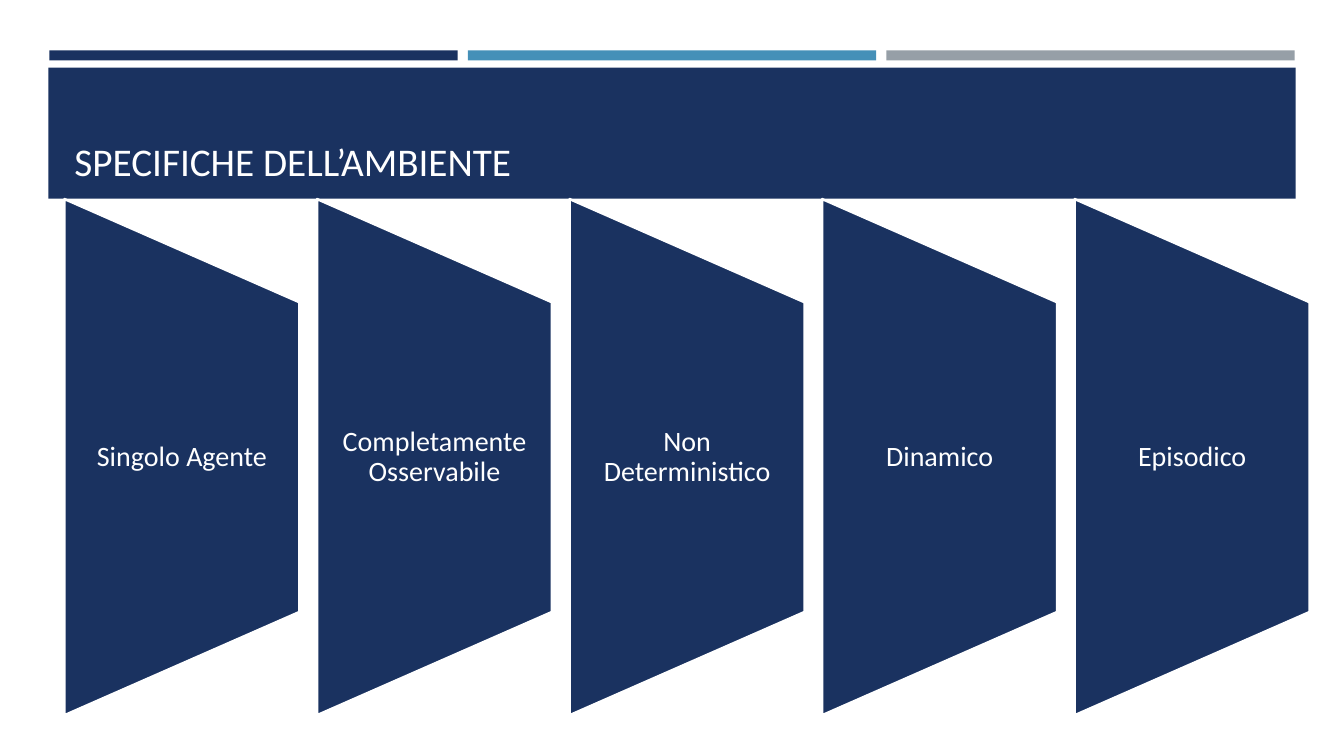
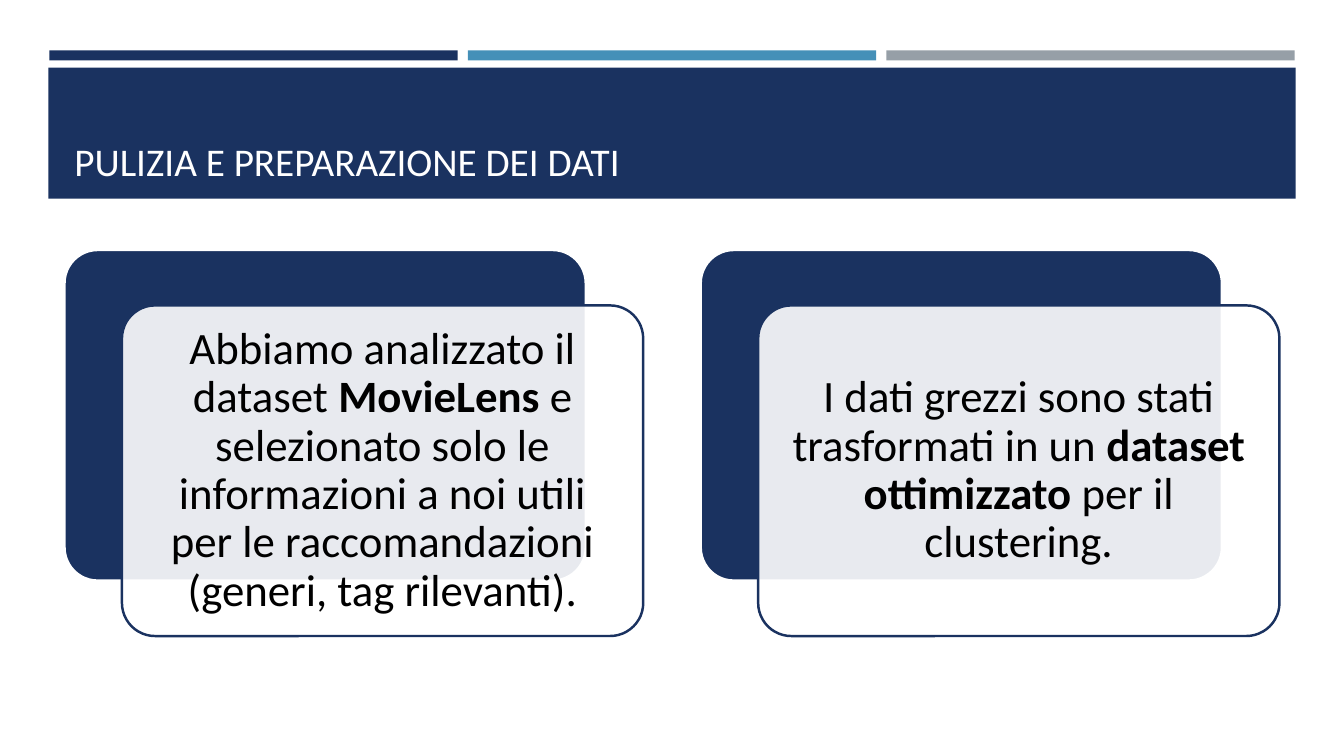
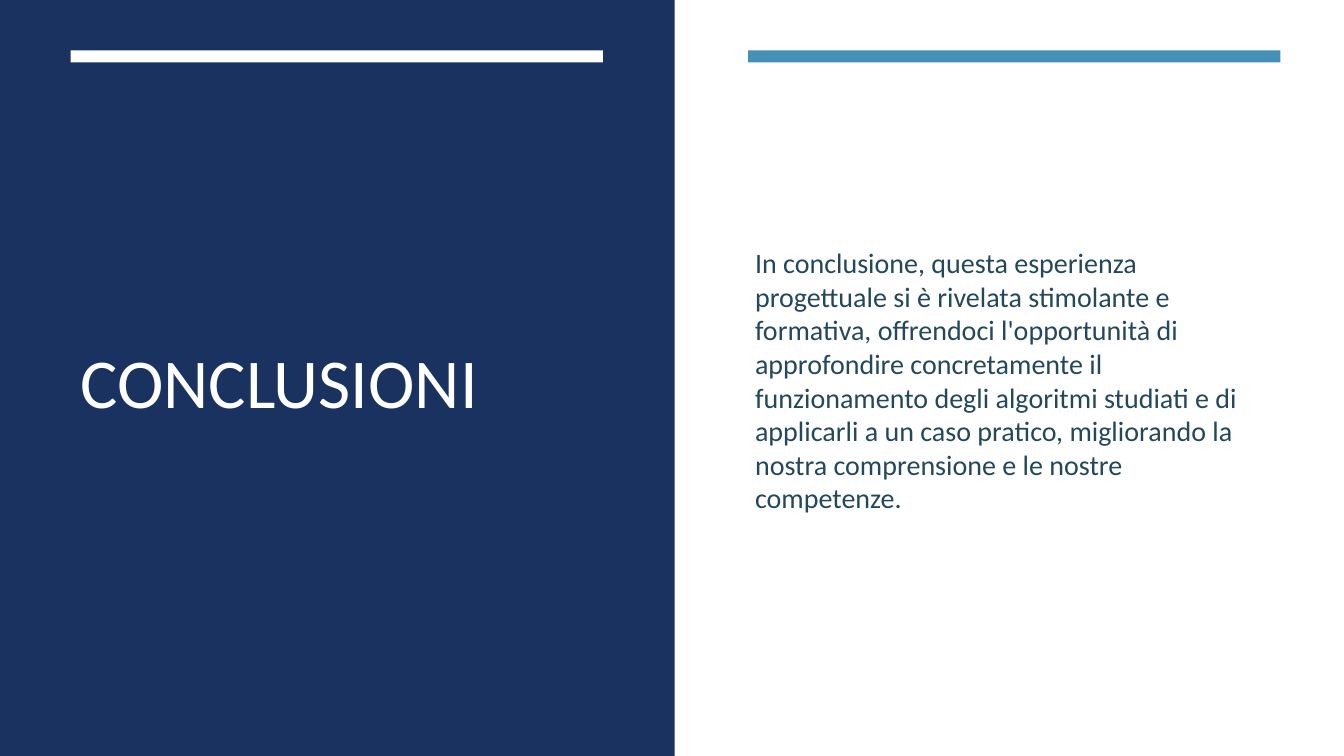
from dataclasses import dataclass

import pptx
import pptx.dml.color
import pptx.enum.shapes
import pptx.enum.text
import pptx.oxml.ns
import pptx.util
from lxml import etree
from pptx.util import Inches

COLORS = {
    "navy": "1A3260",
    "blue": "4590B8",
    "gray": "969FA7",
    "white": "FFFFFF",
    "black": "000000",
    "body": "23485C",
}
FONT = "Calibri"
SHAPE = pptx.enum.shapes.MSO_SHAPE
ANCHOR = pptx.enum.text.MSO_ANCHOR
ALIGN = pptx.enum.text.PP_ALIGN


@dataclass
class Box:
    left: float
    top: float
    width: float
    height: float

    def lengths(self) -> tuple:
        return tuple(Inches(v) for v in (self.left, self.top, self.width, self.height))


@dataclass
class Span:
    text: str
    bold: bool = False


@dataclass
class TextStyle:
    size: float
    color: str
    anchor: object = ANCHOR.MIDDLE
    align: object = ALIGN.LEFT
    line_spacing: float = 1.0
    inset_x: float = 0.1
    inset_y: float = 0.05


TITLE = TextStyle(28, "white", ANCHOR.BOTTOM)
BIG_TITLE = TextStyle(50, "white")
BODY = TextStyle(20, "body")
PANEL_TEXT = TextStyle(20, "white", align=ALIGN.CENTER, line_spacing=0.9,
                       inset_x=0.14, inset_y=0)
CARD_TEXT = TextStyle(32, "black", align=ALIGN.CENTER, line_spacing=0.9,
                      inset_x=0.13, inset_y=0.13)


def rgb(name: str):
    return pptx.dml.color.RGBColor.from_string(COLORS[name])


def add_shape(s, kind, box: Box, fill: str, line: str = ""):
    sp = s.shapes.add_shape(kind, *box.lengths())
    sp.shadow.inherit = False
    sp.fill.solid()
    sp.fill.fore_color.rgb = rgb(fill)
    if line:
        sp.line.color.rgb = rgb(line)
        sp.line.width = pptx.util.Pt(1.75)
    else:
        sp.line.fill.background()
    return sp


def set_opacity(sp, percent: int) -> None:
    qn = pptx.oxml.ns.qn
    color = sp.fill._xPr.find(qn("a:solidFill")).find(qn("a:srgbClr"))
    etree.SubElement(color, qn("a:alpha")).set("val", str(percent * 1000))


def write(sp, spans: list[Span], style: TextStyle) -> None:
    tf = sp.text_frame
    tf.word_wrap = True
    tf.vertical_anchor = style.anchor
    tf.margin_left = tf.margin_right = Inches(style.inset_x)
    tf.margin_top = tf.margin_bottom = Inches(style.inset_y)
    p = tf.paragraphs[0]
    p.alignment = style.align
    p.line_spacing = style.line_spacing
    p.font.name = FONT
    p.font.size = pptx.util.Pt(style.size)
    p.font.color.rgb = rgb(style.color)
    for span in spans:
        r = p.add_run()
        r.text = span.text
        if span.bold:
            r.font.bold = True


def add_text(s, box: Box, text: str, style: TextStyle) -> None:
    write(s.shapes.add_textbox(*box.lengths()), [Span(text)], style)


def add_slide(prs):
    return prs.slides.add_slide(prs.slide_layouts[6])


def add_banner_slide(prs, title: str):
    """Add a slide with three thin bars above a navy title band."""
    s = add_slide(prs)
    for i, color in enumerate(("navy", "blue", "gray")):
        add_shape(s, SHAPE.RECTANGLE, Box(0.49 + i * 4.15, 0.5, 4.05, 0.1), color)
    add_shape(s, SHAPE.RECTANGLE, Box(0.48, 0.67, 12.37, 1.3), "navy")
    add_text(s, Box(0.64, 0.77, 12.06, 1.11), title, TITLE)
    return s


def environment_slide(prs) -> None:
    s = add_banner_slide(prs, "SPECIFICHE DELL’AMBIENTE")
    labels = ("Singolo Agente", "Completamente Osservabile", "Non Deterministico",
              "Dinamico", "Episodico")
    width, height, pitch, middle = 2.33, 5.12, 2.505, 4.535
    for i, label in enumerate(labels):
        left = 0.64 + i * pitch
        # The panel is laid out flat, then turned about its centre.
        flat = Box(left + (width - height) / 2, middle - width / 2, height, width)
        sp = add_shape(s, SHAPE.FLOWCHART_MANUAL_OPERATION, flat, "navy", "white")
        sp.rotation = 270
        add_text(s, Box(left, 3, width, 3.07), label, PANEL_TEXT)


def data_slide(prs) -> None:
    s = add_banner_slide(prs, "PULIZIA E PREPARAZIONE DEI DATI")
    cards = (
        [Span("Abbiamo analizzato il dataset "), Span("MovieLens", True),
         Span(" e selezionato solo le informazioni a noi utili per le "
              "raccomandazioni (generi, tag rilevanti).")],
        [Span("I dati grezzi sono stati trasformati in un "),
         Span("dataset ottimizzato", True), Span(" per il clustering.")],
    )
    for i, spans in enumerate(cards):
        left = 0.64 + i * 6.31
        back = add_shape(s, SHAPE.ROUNDED_RECTANGLE, Box(left, 2.48, 5.17, 3.28),
                         "navy", "white")
        front = add_shape(s, SHAPE.ROUNDED_RECTANGLE, Box(left + 0.57, 3.03, 5.17, 3.28),
                          "white", "navy")
        back.adjustments[0] = front.adjustments[0] = 0.1
        set_opacity(front, 90)
        write(front, spans, CARD_TEXT)


def conclusion_slide(prs) -> None:
    s = add_slide(prs)
    add_shape(s, SHAPE.RECTANGLE, Box(0, 0, 6.69, 7.5), "navy")
    for left, color in ((0.7, "white"), (7.42, "blue")):
        add_shape(s, SHAPE.RECTANGLE, Box(left, 0.5, 5.28, 0.12), color)
    add_text(s, Box(0.7, 1.13, 5.28, 5.28), "CONCLUSIONI", BIG_TITLE)
    add_text(s, Box(7.39, 1.13, 5.31, 5.28),
             "In conclusione, questa esperienza progettuale si è rivelata stimolante e "
             "formativa, offrendoci l'opportunità di approfondire concretamente il "
             "funzionamento degli algoritmi studiati e di applicarli a un caso pratico, "
             "migliorando la nostra comprensione e le nostre competenze.", BODY)


def main() -> None:
    prs = pptx.Presentation()
    prs.slide_width, prs.slide_height = Inches(13.33), Inches(7.5)
    environment_slide(prs)
    data_slide(prs)
    conclusion_slide(prs)
    prs.save("out.pptx")


if __name__ == "__main__":
    main()
